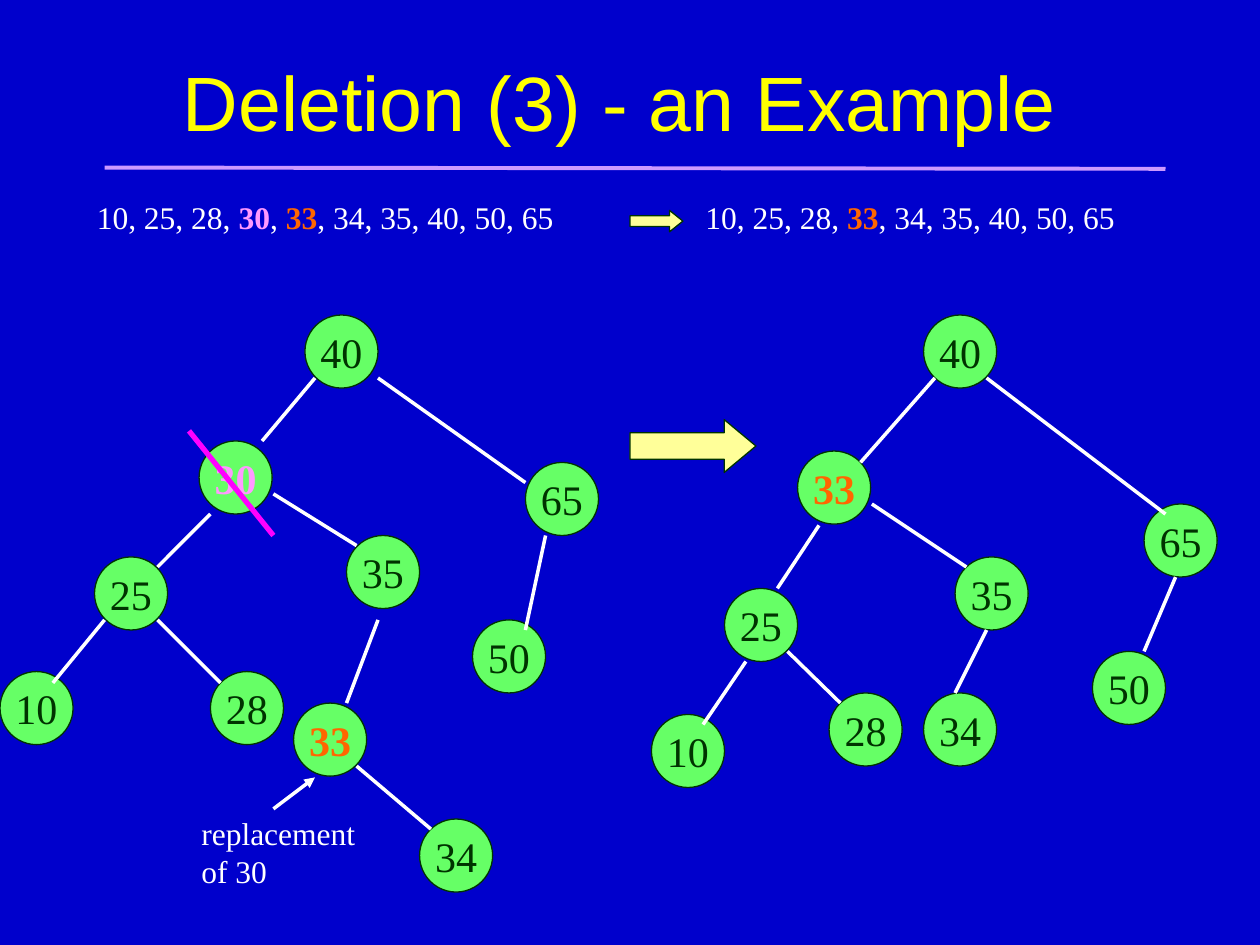
from dataclasses import dataclass

from lxml import etree
from pptx import Presentation
from pptx.dml.color import RGBColor
from pptx.enum.shapes import MSO_CONNECTOR, MSO_SHAPE
from pptx.enum.text import MSO_ANCHOR, PP_ALIGN
from pptx.oxml.ns import qn
from pptx.util import Inches, Pt

STRAIGHT = MSO_CONNECTOR.STRAIGHT
OVAL, RIGHT_ARROW = MSO_SHAPE.OVAL, MSO_SHAPE.RIGHT_ARROW
LEFT, CENTER = PP_ALIGN.LEFT, PP_ALIGN.CENTER
TOP, MIDDLE = MSO_ANCHOR.TOP, MSO_ANCHOR.MIDDLE


@dataclass(frozen=True)
class Theme:
    background: str = "0000CC"
    title: str = "FFFF00"
    rule: str = "CC99FF"
    text: str = "FFFFFF"
    node: str = "66FF66"
    ink: str = "003300"
    arrow: str = "FFFF99"
    deleted: str = "FF99FF"
    replacement: str = "FF6600"
    strike: str = "FF00FF"
    title_font: str = "Arial"
    body_font: str = "Times New Roman"
    title_size: float = 44
    node_size: float = 24
    body_size: float = 18


T = Theme()
NODE = 0.58

BEFORE_NODES = [
    ("40", 2.42, 2.5), ("30", 1.58, 3.5), ("25", 0.75, 4.42),
    ("10", 0, 5.33), ("28", 1.67, 5.33), ("35", 2.75, 4.25),
    ("33", 2.33, 5.58), ("65", 4.17, 3.67), ("50", 3.75, 4.92),
    ("34", 3.33, 6.5),
]
BEFORE_EDGES = [
    (3, 3, 4.17, 3.83), (4.33, 4.25, 4.17, 5), (2.5, 3, 2.08, 3.5),
    (1.67, 4.08, 1.25, 4.5), (0.83, 4.92, 0.42, 5.42),
    (1.25, 4.92, 1.75, 5.42), (2.17, 3.92, 2.83, 4.33),
    (3, 4.92, 2.75, 5.58), (2.83, 6.08, 3.42, 6.58),
]
AFTER_NODES = [
    ("40", 7.33, 2.5), ("33", 6.33, 3.58), ("35", 7.58, 4.42),
    ("25", 5.75, 4.67), ("10", 5.17, 5.67), ("28", 6.58, 5.5),
    ("65", 9.08, 4), ("34", 7.33, 5.5), ("50", 8.67, 5.17),
]
AFTER_EDGES = [
    (7.42, 3, 6.83, 3.67), (6.5, 4.17, 6.17, 4.67),
    (6.25, 5.17, 6.67, 5.58), (5.92, 5.25, 5.58, 5.75),
    (7.83, 3, 9.25, 4.08), (9.33, 4.58, 9.08, 5.17),
    (6.92, 4, 7.67, 4.5), (7.83, 5, 7.58, 5.5),
]
HIGHLIGHTS = {"30": T.deleted, "33": T.replacement}


def rgb(value):
    return RGBColor.from_string(value)


def add_run(p, text, size, color, font=T.body_font, bold=False):
    r = p.add_run()
    r.text = text
    r.font.name = font
    r.font.size = Pt(size)
    r.font.bold = bold
    r.font.color.rgb = rgb(color)


def add_text(shapes, box, paragraphs, size=T.body_size, font=T.body_font,
             align=LEFT, anchor=TOP, wrap=False):
    tf = shapes.add_textbox(*map(Inches, box)).text_frame
    tf.word_wrap = wrap
    tf.vertical_anchor = anchor
    for i, runs in enumerate(paragraphs):
        p = tf.paragraphs[0] if i == 0 else tf.add_paragraph()
        p.alignment = align
        for text, color, bold in runs:
            add_run(p, text, size, color, font, bold)


def add_solid(shapes, kind, box, fill):
    sp = shapes.add_shape(kind, *map(Inches, box))
    sp.shadow.inherit = False
    sp.fill.solid()
    sp.fill.fore_color.rgb = rgb(fill)
    sp.line.color.rgb = rgb(T.ink)
    sp.line.width = Pt(0.75)
    return sp


def add_node(shapes, key, x, y):
    tf = add_solid(shapes, OVAL, (x, y, NODE, NODE), T.node).text_frame
    tf.word_wrap = False
    tf.vertical_anchor = MIDDLE
    p = tf.paragraphs[0]
    p.alignment = CENTER
    add_run(p, key, T.node_size, HIGHLIGHTS.get(key, T.ink), bold=key in HIGHLIGHTS)


def add_block_arrow(shapes, box, head):
    sp = add_solid(shapes, RIGHT_ARROW, box, T.arrow)
    sp.adjustments[0] = 0.5
    sp.adjustments[1] = head


def add_line(shapes, ends, color=T.text, width=2, arrow=False):
    line = shapes.add_connector(STRAIGHT, *map(Inches, ends))
    line.line.color.rgb = rgb(color)
    line.line.width = Pt(width)
    if arrow:
        etree.SubElement(line.line._get_or_add_ln(), qn("a:tailEnd"), type="triangle")
    etree.SubElement(line._element.spPr, qn("a:effectLst"))


def add_tree(shapes, nodes, edges):
    for key, x, y in nodes:
        add_node(shapes, key, x, y)
    for ends in edges:
        add_line(shapes, ends)


def add_sequence(shapes, box, keys):
    runs = []
    plain = ""
    for i, key in enumerate(keys):
        plain += ", " if i else ""
        if key in HIGHLIGHTS:
            runs += [(plain, T.text, False), (key, HIGHLIGHTS[key], True)]
            plain = ""
        else:
            plain += key
    runs.append((plain, T.text, False))
    add_text(shapes, box, [runs])


def main():
    prs = Presentation()
    prs.slide_width, prs.slide_height = Inches(10), Inches(7.5)
    s = prs.slides.add_slide(prs.slide_layouts[6])
    s.background.fill.solid()
    s.background.fill.fore_color.rgb = rgb(T.background)
    shapes = s.shapes

    add_text(shapes, (0.67, 0.17, 8.5, 1.25),
             [[("Deletion (3) - an Example", T.title, False)]],
             T.title_size, T.title_font, CENTER, MIDDLE, True)
    add_line(shapes, (0.83, 1.33, 9.25, 1.34), T.rule, 2.25)

    keys = sorted(key for key, _, _ in BEFORE_NODES)
    add_sequence(shapes, (0.67, 1.52, 4.23, 0.4), keys)
    result = shapes.add_group_shape().shapes
    add_sequence(result, (5.5, 1.52, 3.81, 0.4), [k for k in keys if k != "30"])
    add_block_arrow(result, (5, 1.67, 0.42, 0.17), 0.625)

    add_tree(shapes, BEFORE_NODES, BEFORE_EDGES)
    add_line(shapes, (1.5, 3.42, 2.17, 4.25), T.strike, 3)
    add_text(shapes, (1.5, 6.41, 1.58, 0.7),
             [[(text, T.text, False)] for text in ("replacement", "of 30")])
    add_line(shapes, (2.17, 6.42, 2.5, 6.17), arrow=True)

    add_block_arrow(shapes, (5, 3.33, 1, 0.42), 0.6)
    add_tree(shapes.add_group_shape().shapes, AFTER_NODES, AFTER_EDGES)

    prs.save("out.pptx")


main()
